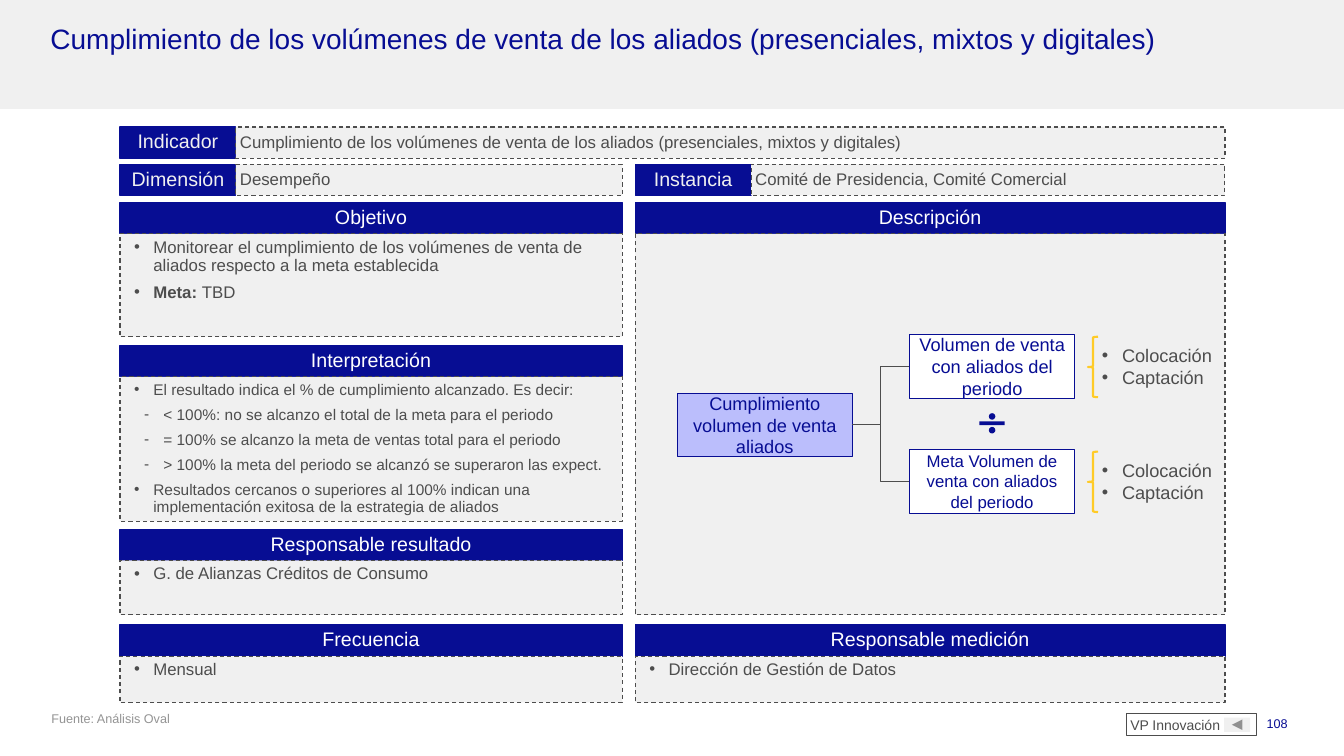
from lxml import etree
from pptx import Presentation
from pptx.dml.color import RGBColor
from pptx.enum.dml import MSO_LINE
from pptx.enum.shapes import MSO_CONNECTOR, MSO_SHAPE
from pptx.enum.text import MSO_ANCHOR, PP_ALIGN
from pptx.oxml.ns import qn
from pptx.util import Inches, Pt

RECTANGLE = MSO_SHAPE.RECTANGLE
RIGHT_BRACE = MSO_SHAPE.RIGHT_BRACE
DIVIDE = MSO_SHAPE.MATH_DIVIDE
NEXT_BUTTON = MSO_SHAPE.ACTION_BUTTON_FORWARD_OR_NEXT
ELBOW = MSO_CONNECTOR.ELBOW
DASH = MSO_LINE.DASH
LEFT, CENTER, RIGHT = PP_ALIGN.LEFT, PP_ALIGN.CENTER, PP_ALIGN.RIGHT
TOP, MIDDLE = MSO_ANCHOR.TOP, MSO_ANCHOR.MIDDLE

NAVY, GRAY, PALE, WHITE = "070D93", "4D4D4D", "F0F0F0", "FFFFFF"
LILAC, GOLD, SILVER = "BBBEFC", "FFCB27", "949494"
TIGHT = (0.04, 0.05, 0.04, 0.05)
ROOMY = (0.1, 0.05, 0.1, 0.05)
LEFT_COLUMN, LEFT_WIDTH = 1.19, 4.98
RIGHT_COLUMN, RIGHT_WIDTH = 6.3, 5.85
TAG_WIDTH, BAR_HEIGHT = 1.15, 0.31
TITLE = "Cumplimiento de los volúmenes de venta de los aliados (presenciales, mixtos y digitales)"


def color(value):
    return RGBColor.from_string(value)


def add_box(slide, box, fill=None, line=None, width=0.75, dash=None, kind=RECTANGLE):
    shape = slide.shapes.add_shape(kind, *map(Inches, box))
    shape.shadow.inherit = False
    if fill:
        shape.fill.solid()
        shape.fill.fore_color.rgb = color(fill)
    else:
        shape.fill.background()
    if line:
        shape.line.color.rgb = color(line)
        shape.line.width = Pt(width)
        if dash:
            shape.line.dash_style = dash
    else:
        shape.line.fill.background()
    return shape


def set_frame(shape, insets=TIGHT, anchor=TOP):
    frame = shape.text_frame
    frame.word_wrap = True
    frame.vertical_anchor = anchor
    frame.margin_left, frame.margin_top, frame.margin_right, frame.margin_bottom = map(Inches, insets)
    return frame


def add_text_box(slide, box, insets=TIGHT, anchor=TOP):
    return set_frame(slide.shapes.add_textbox(*map(Inches, box)), insets, anchor)


def add_bullet(paragraph, character, margin, hanging, tint):
    properties = paragraph._p.get_or_add_pPr()
    properties.set("marL", str(Inches(margin)))
    properties.set("indent", str(-Inches(hanging)))
    bullet_color = etree.SubElement(properties, qn("a:buClr"))
    etree.SubElement(bullet_color, qn("a:srgbClr")).set("val", tint)
    etree.SubElement(properties, qn("a:buFont")).set("typeface", "Arial")
    etree.SubElement(properties, qn("a:buChar")).set("char", character)


def write(frame, runs, size, tint, align=LEFT, first=True, spaced=True, bullet=None):
    paragraph = frame.paragraphs[0] if first else frame.add_paragraph()
    paragraph.alignment = align
    if spaced:
        paragraph.line_spacing = 0.9
        paragraph.space_before = Pt(0 if first else 3)
        paragraph.space_after = Pt(3)
    if bullet:
        add_bullet(paragraph, *bullet, tint)
    for text, bold in runs:
        run = paragraph.add_run()
        run.text = text
        run.font.name = "Arial"
        run.font.size = Pt(size)
        run.font.bold = bold
        run.font.color.rgb = color(tint)


def plain(text):
    return [(text, False)]


def add_bar(slide, box, text, tint=WHITE):
    write(set_frame(add_box(slide, box, NAVY, NAVY)), plain(text), 14, tint, CENTER)


def add_field(slide, left, top, width, label, value):
    add_bar(slide, (left, top, TAG_WIDTH, BAR_HEIGHT), label, PALE)
    value_box = (left + TAG_WIDTH, top, width - TAG_WIDTH, BAR_HEIGHT)
    shape = add_box(slide, value_box, PALE, GRAY, dash=DASH)
    write(set_frame(shape, anchor=MIDDLE), plain(value), 12, GRAY)


def add_panel(slide, left, top, width, bottom, heading, items, size=12):
    add_bar(slide, (left, top, width, BAR_HEIGHT), heading)
    body_top = top + BAR_HEIGHT
    shape = add_box(slide, (left, body_top, width, bottom - body_top), PALE, GRAY, dash=DASH)
    frame = set_frame(shape)
    for index, (character, runs) in enumerate(items):
        margin = 0.39 if character == "-" else 0.29
        write(frame, runs, size, GRAY, first=index == 0, bullet=(character, margin, 0.19))


def add_node(slide, box, text, size, fill):
    shape = add_box(slide, box, fill, NAVY, 0.5)
    write(set_frame(shape, ROOMY, MIDDLE), plain(text), size, NAVY, CENTER, spaced=False)
    return shape


def connect(slide, start, end):
    connector = slide.shapes.add_connector(ELBOW, 0, 0, 0, 0)
    connector.begin_connect(start, 3)
    connector.end_connect(end, 1)
    connector.line.color.rgb = color(GRAY)
    connector.line.width = Pt(0.5)
    etree.SubElement(connector._element.spPr, qn("a:effectLst"))


def add_components(slide, top):
    brace = add_box(slide, (10.79, top + 0.02, 0.1, 0.6), line=GOLD, width=1.5, kind=RIGHT_BRACE)
    brace.rotation = 180
    frame = add_text_box(slide, (10.83, top - 0.03, 1.42, 0.69), ROOMY, MIDDLE)
    for index, text in enumerate(("Colocación", "Captación")):
        write(frame, plain(text), 13, GRAY, first=index == 0, spaced=False, bullet=("•", 0.2, 0.2))


def add_formula(slide):
    result = add_node(slide, (6.72, 3.9, 1.73, 0.63), "Cumplimiento volumen de venta aliados", 13, LILAC)
    terms = (
        (3.32, "Volumen de venta con aliados del periodo", 13),
        (4.46, "Meta Volumen de venta con aliados del periodo", 12),
    )
    for top, text, size in terms:
        term = add_node(slide, (9.02, top, 1.64, 0.63), text, size, WHITE)
        connect(slide, result, term)
        add_components(slide, top)
    divide = add_box(slide, (9.67, 4.02, 0.34, 0.36), NAVY, kind=DIVIDE)
    for index, value in enumerate((0.1, 0.05, 0.09)):
        divide.adjustments[index] = value


def add_footer(slide):
    write(add_text_box(slide, (0.47, 7.05, 11.02, 0.4), (0.04, 0, 0.04, 0.04)),
          plain("Fuente: Análisis Oval"), 9, SILVER, spaced=False)
    write(add_text_box(slide, (11.76, 7.05, 1.11, 0.4), ROOMY),
          plain("108"), 9, NAVY, RIGHT, spaced=False)
    button = add_box(slide, (12.14, 7.12, 0.26, 0.14), PALE, kind=NEXT_BUTTON)
    button.rotation = 180
    owner = add_box(slide, (11.17, 7.08, 1.29, 0.22), line=GRAY)
    write(set_frame(owner), plain("VP Innovación"), 10, GRAY)


def main():
    presentation = Presentation()
    presentation.slide_width = Inches(13.33)
    presentation.slide_height = Inches(7.5)
    slide = presentation.slides.add_slide(presentation.slide_layouts[6])

    add_box(slide, (0, 0, 13.33, 1.08), PALE)
    write(add_text_box(slide, (0.46, 0.2, 12.4, 0.69)), plain(TITLE), 20, NAVY)

    add_field(slide, LEFT_COLUMN, 1.26, 10.96, "Indicador", TITLE)
    add_field(slide, LEFT_COLUMN, 1.63, LEFT_WIDTH, "Dimensión", "Desempeño")
    add_field(slide, RIGHT_COLUMN, 1.63, RIGHT_WIDTH, "Instancia", "Comité de Presidencia, Comité Comercial")

    goal = [
        ("•", plain("Monitorear el cumplimiento de los volúmenes de venta de aliados respecto a la meta establecida")),
        ("•", [("Meta: ", True), ("TBD", False)]),
    ]
    reading = [
        ("•", plain("El resultado indica el % de cumplimiento alcanzado. Es decir:")),
        ("-", plain("< 100%: no se alcanzo el total de la meta para el periodo")),
        ("-", plain("= 100% se alcanzo la meta de ventas total para el periodo")),
        ("-", plain("> 100% la meta del periodo se alcanzó se superaron las expect.")),
        ("•", plain("Resultados cercanos o superiores al 100% indican una implementación exitosa de la estrategia de aliados")),
    ]
    owner = [("•", plain("G. de Alianzas Créditos de Consumo"))]
    frequency = [("•", plain("Mensual"))]
    measurer = [("•", plain("Dirección de Gestión de Datos"))]

    add_panel(slide, LEFT_COLUMN, 2.01, LEFT_WIDTH, 3.34, "Objetivo", goal)
    add_panel(slide, LEFT_COLUMN, 3.43, LEFT_WIDTH, 5.17, "Interpretación", reading, 11)
    add_panel(slide, LEFT_COLUMN, 5.25, LEFT_WIDTH, 6.1, "Responsable resultado", owner)
    add_panel(slide, LEFT_COLUMN, 6.2, LEFT_WIDTH, 6.97, "Frecuencia", frequency)
    add_panel(slide, RIGHT_COLUMN, 2.01, RIGHT_WIDTH, 6.1, "Descripción", [])
    add_panel(slide, RIGHT_COLUMN, 6.2, RIGHT_WIDTH, 6.97, "Responsable medición", measurer)

    add_formula(slide)
    add_footer(slide)
    presentation.save("out.pptx")


if __name__ == "__main__":
    main()
